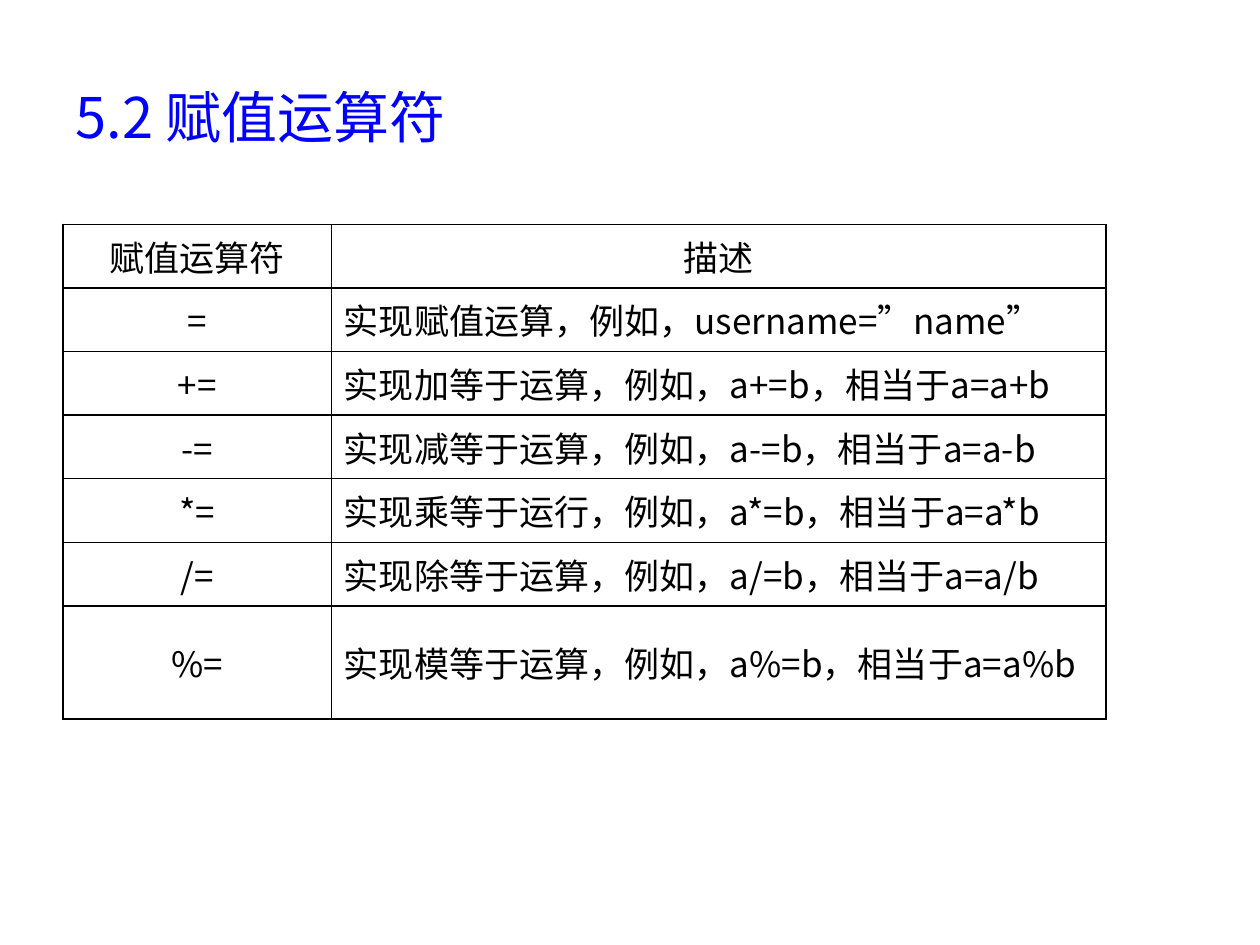
from lxml import etree
from pptx import Presentation
from pptx import util as u
from pptx.dml.color import RGBColor
from pptx.enum import text
from pptx.oxml.ns import qn

FONT = "Noto Sans CJK SC"
COLORS = {"title": "0000FF", "text": "000000", "border": "000000", "cell": "FFFFFF"}
HEADER = ("赋值运算符", "描述")
OPERATORS = [
    ("=", "实现赋值运算，例如，username=”name”"),
    ("+=", "实现加等于运算，例如，a+=b，相当于a=a+b"),
    ("-=", "实现减等于运算，例如，a-=b，相当于a=a-b"),
    ("*=", "实现乘等于运行，例如，a*=b，相当于a=a*b"),
    ("/=", "实现除等于运算，例如，a/=b，相当于a=a/b"),
    ("%=", "实现模等于运算，例如，a%=b，相当于a=a%b"),
]


def write(frame, words, size=20, color="text", align=text.PP_ALIGN.LEFT):
    frame.word_wrap = True
    para = frame.paragraphs[0]
    para.alignment = align
    span = para.add_run()
    span.text = words
    span.font.size = u.Pt(size)
    span.font.name = FONT
    span.font.color.rgb = RGBColor.from_string(COLORS[color])
    # Chinese characters take the East Asian font
    etree.SubElement(span.font._element, qn("a:ea"), typeface=FONT)


def add_borders(cell, width=1):
    props = cell._tc.get_or_add_tcPr()
    for place, side in enumerate(("a:lnL", "a:lnR", "a:lnT", "a:lnB")):
        line = etree.Element(qn(side), w=str(u.Pt(width)))
        fill = etree.SubElement(line, qn("a:solidFill"))
        etree.SubElement(fill, qn("a:srgbClr"), val=COLORS["border"])
        props.insert(place, line)


def add_title(page, left, top, width, height):
    box = page.shapes.add_textbox(left, top, width, height)
    box.text_frame.vertical_anchor = text.MSO_ANCHOR.MIDDLE
    write(box.text_frame, "5.2 赋值运算符", size=32, color="title")


def add_operator_table(page, left, top, width, height):
    rows = [HEADER] + OPERATORS
    table = page.shapes.add_table(len(rows), 2, left, top, width, height).table
    table.first_row = table.horz_banding = False
    table.columns[0].width = u.Inches(2.13)
    table.columns[1].width = width - table.columns[0].width
    # The last row holds two lines; the others share the rest equally
    last_height = u.Inches(0.9)
    for row, entries in enumerate(rows):
        is_last = row == len(rows) - 1
        table.rows[row].height = (
            last_height if is_last else (height - last_height) // (len(rows) - 1))
        for column, words in enumerate(entries):
            cell = table.cell(row, column)
            cell.vertical_anchor = text.MSO_ANCHOR.MIDDLE
            cell.fill.solid()
            cell.fill.fore_color.rgb = RGBColor.from_string(COLORS["cell"])
            add_borders(cell)
            centred = row == 0 or column == 0
            write(cell.text_frame, words,
                  align=text.PP_ALIGN.CENTER if centred else text.PP_ALIGN.LEFT)


def main():
    deck = Presentation()
    deck.slide_width, deck.slide_height = u.Inches(10), u.Inches(7.5)
    page = deck.slides.add_slide(deck.slide_layouts[6])
    # Heading
    add_title(page, u.Inches(0.5), u.Inches(0.3), u.Inches(9), u.Inches(1.25))
    # Operators and what they do
    add_operator_table(page, u.Inches(0.5), u.Inches(1.78), u.Inches(8.28), u.Inches(3.93))
    deck.save("out.pptx")


if __name__ == "__main__":
    main()
